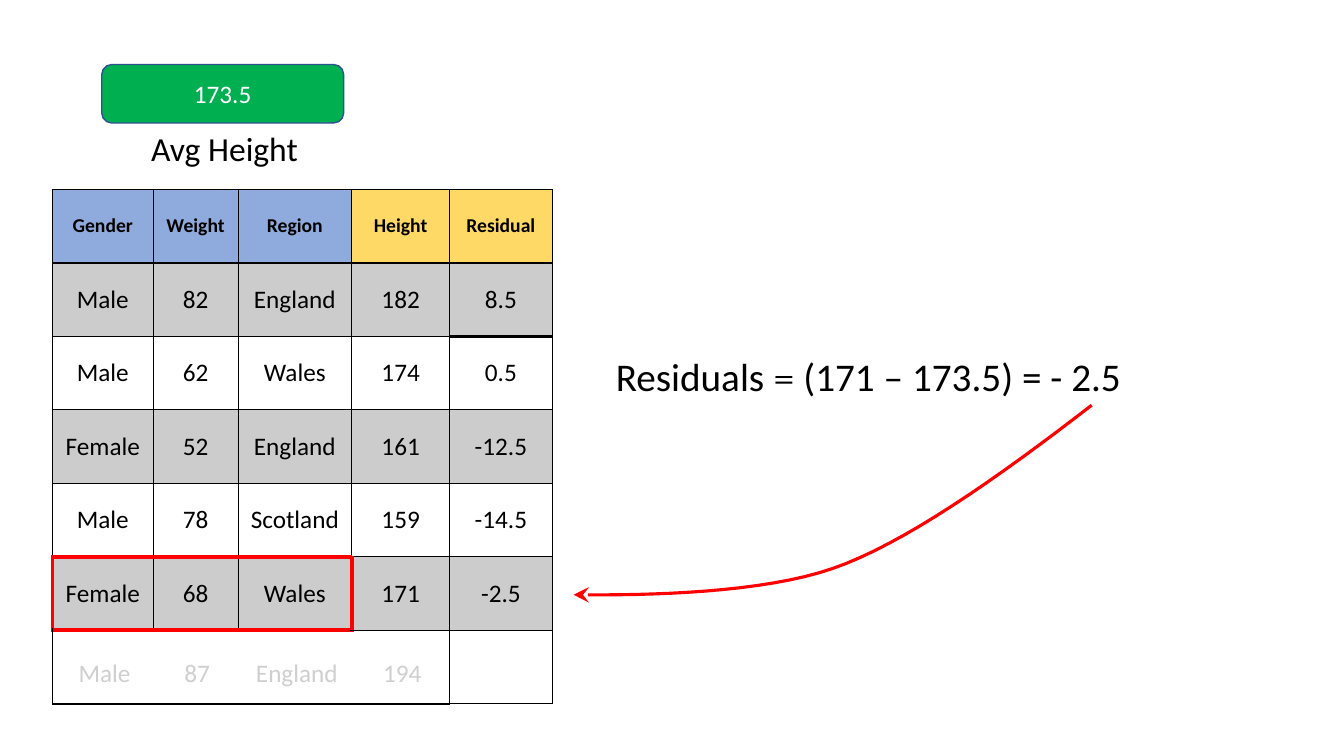
import pptx
import pptx.dml.color
import pptx.enum.shapes
import pptx.enum.text
import pptx.oxml.xmlchemy
import pptx.util

COLUMNS, ROWS = 133.33, 75
UNIT = pptx.util.Inches(0.1)
COLORS = {
    "black": "000000",
    "white": "FFFFFF",
    "green": "00AF50",
    "outline": "2E528F",
    "feature": "8FAADC",
    "target": "FFD966",
    "red": "FF0000",
}
COLUMN_WIDTHS = [10, 8.4, 11.3, 9.7, 10.2]
ROW_HEIGHT = 7.29
PEOPLE = [
    ["Gender", "Weight", "Region", "Height", "Residual"],
    ["Male", "82", "England", "182", "8.5"],
    ["Male", "62", "Wales", "174", "0.5"],
    ["Female", "52", "England", "161", "-12.5"],
    ["Male", "78", "Scotland", "159", "-14.5"],
    ["Female", "68", "Wales", "171", "-2.5"],
    ["", "", "", "", ""],
]
HIGHLIGHT_ROW = 5
FADED_ROW = 6
CURVES = [
    [(108.3, 40.2), (99, 47.4), (89.6, 54), (82.6, 56.4)],
    [(82.6, 56.4), (75.7, 58.8), (64.5, 59.1), (56.9, 59)],
]
CURVE_STEPS = 16


def grid(*lengths):
    return [round(length * UNIT) for length in lengths]


def color(name):
    return pptx.dml.color.RGBColor.from_string(COLORS[name])


def add_xml(parent, tag, **attributes):
    element = pptx.oxml.xmlchemy.OxmlElement(tag)
    for name, value in attributes.items():
        element.set(name, str(value))
    parent.append(element)
    return element


def paint(fill, name, parent=None, opacity=100):
    fill.solid()
    fill.fore_color.rgb = color(name)
    if opacity < 100:
        hue = next(parent.iterchildren("{*}solidFill"))[0]
        add_xml(hue, "a:alpha", val=opacity * 1000)


def format_run(run, size, name="black", bold=False, font="Calibri"):
    run.font.name = font
    run.font.size = pptx.util.Pt(size)
    run.font.bold = bold
    run.font.color.rgb = color(name)


def clear_margins(frame):
    frame.margin_left = frame.margin_right = 0
    frame.margin_top = frame.margin_bottom = 0


def add_text(slide, box, pieces, size, tabs=()):
    frame = slide.shapes.add_textbox(*grid(*box)).text_frame
    frame.word_wrap = True
    clear_margins(frame)
    paragraph = frame.paragraphs[0]
    if tabs:
        tab_list = add_xml(paragraph._p.get_or_add_pPr(), "a:tabLst")
        for position in grid(*tabs):
            add_xml(tab_list, "a:tab", pos=position, algn="l")
    for text, font in pieces:
        run = paragraph.add_run()
        run.text = text
        format_run(run, size, font=font)


def add_average(slide):
    shape = slide.shapes.add_shape(
        pptx.enum.shapes.MSO_SHAPE.ROUNDED_RECTANGLE, *grid(10.1, 6.4, 24, 5.8))
    shape.adjustments[0] = 0.17
    shape.shadow.inherit = False
    paint(shape.fill, "green")
    shape.line.color.rgb = color("outline")
    shape.line.width = pptx.util.Pt(1)
    clear_margins(shape.text_frame)
    shape.text_frame.text = "173.5"
    paragraph = shape.text_frame.paragraphs[0]
    paragraph.alignment = pptx.enum.text.PP_ALIGN.CENTER
    format_run(paragraph.runs[0], 18, "white")


def add_veil(slide):
    shape = slide.shapes.add_shape(
        pptx.enum.shapes.MSO_SHAPE.RECTANGLE, *grid(5.8, 62.7, 38.9, 7.2))
    shape.shadow.inherit = False
    paint(shape.fill, "white", shape._element.spPr, 81)
    shape.line.fill.background()


def horizontal_rule(line, column):
    if line in (HIGHLIGHT_ROW, HIGHLIGHT_ROW + 1) and column < 3:
        return "red", 3
    if line == 1 or (line, column) == (2, 4):
        return "black", 2.25
    return "black", 1.5 if line == len(PEOPLE) and column < 4 else 1


def vertical_rule(line, row):
    if row == HIGHLIGHT_ROW and line in (0, 3):
        return "red", 3
    if line in (1, 2, 3):
        return "black", 0 if row == FADED_ROW else 0.5
    return "black", 1


def add_borders(cell, row, column):
    properties = cell._tc.get_or_add_tcPr()
    rules = {
        "a:lnL": vertical_rule(column, row),
        "a:lnR": vertical_rule(column + 1, row),
        "a:lnT": horizontal_rule(row, column),
        "a:lnB": horizontal_rule(row + 1, column),
    }
    for tag, (name, width) in rules.items():
        line = add_xml(properties, tag, w=int(pptx.util.Pt(width)))
        if width:
            fill = add_xml(line, "a:solidFill")
            add_xml(fill, "a:srgbClr", val=COLORS[name])
        else:
            add_xml(line, "a:noFill")


def fill_cell(cell, row, column):
    if row == 0:
        paint(cell.fill, "feature" if column < 3 else "target")
    elif row % 2:
        paint(cell.fill, "black", cell._tc.tcPr, 20)
    else:
        cell.fill.background()


def add_people_table(slide):
    table = slide.shapes.add_table(
        len(PEOPLE), len(COLUMN_WIDTHS),
        *grid(5.2, 18.8, sum(COLUMN_WIDTHS), ROW_HEIGHT * len(PEOPLE))).table
    table.first_row = table.horz_banding = False
    for column, width in zip(table.columns, grid(*COLUMN_WIDTHS)):
        column.width = width
    for row, values in enumerate(PEOPLE):
        table.rows[row].height = grid(ROW_HEIGHT)[0]
        for column, value in enumerate(values):
            cell = table.cell(row, column)
            add_borders(cell, row, column)
            fill_cell(cell, row, column)
            clear_margins(cell)
            cell.vertical_anchor = pptx.enum.text.MSO_ANCHOR.MIDDLE
            cell.text_frame.text = value
            paragraph = cell.text_frame.paragraphs[0]
            paragraph.alignment = pptx.enum.text.PP_ALIGN.CENTER
            for run in paragraph.runs:
                format_run(run, 18 if row else 14, bold=row == 0)


def curve_point(controls, share):
    rest = 1 - share
    weights = (rest**3, 3 * rest**2 * share, 3 * rest * share**2, share**3)
    return tuple(
        sum(weight * value for weight, value in zip(weights, values))
        for values in zip(*controls))


def add_curved_arrow(slide):
    points = [curve_point(controls, step / CURVE_STEPS)
              for controls in CURVES for step in range(1, CURVE_STEPS + 1)]
    start = grid(*CURVES[0][0])
    builder = slide.shapes.build_freeform(*start)
    builder.add_line_segments([grid(*point) for point in points], close=False)
    arrow = builder.convert_to_shape()
    arrow.shadow.inherit = False
    arrow.fill.background()
    arrow.line.color.rgb = color("red")
    arrow.line.width = pptx.util.Pt(2.25)
    add_xml(arrow._element.spPr.get_or_add_ln(), "a:tailEnd",
            type="stealth", w="lg", len="lg")


def main():
    presentation = pptx.Presentation()
    presentation.slide_width, presentation.slide_height = grid(COLUMNS, ROWS)
    slide = presentation.slides.add_slide(presentation.slide_layouts[6])
    add_text(slide, (7.8, 65.2, 36, 3), [("Male\t87\tEngland\t194", "Calibri")],
             18, tabs=(10.5, 17.6, 30.2))
    add_average(slide)
    add_text(slide, (61.1, 34.9, 53, 4.8),
             [("Residuals ", "Calibri"), ("= ", "Cambria"),
              ("(171 – 173.5) = - 2.5", "Calibri")], 28)
    add_text(slide, (15, 12.7, 16, 4.1), [("Avg Height", "Calibri")], 24)
    add_veil(slide)
    add_people_table(slide)
    add_curved_arrow(slide)
    presentation.save("out.pptx")


if __name__ == "__main__":
    main()
